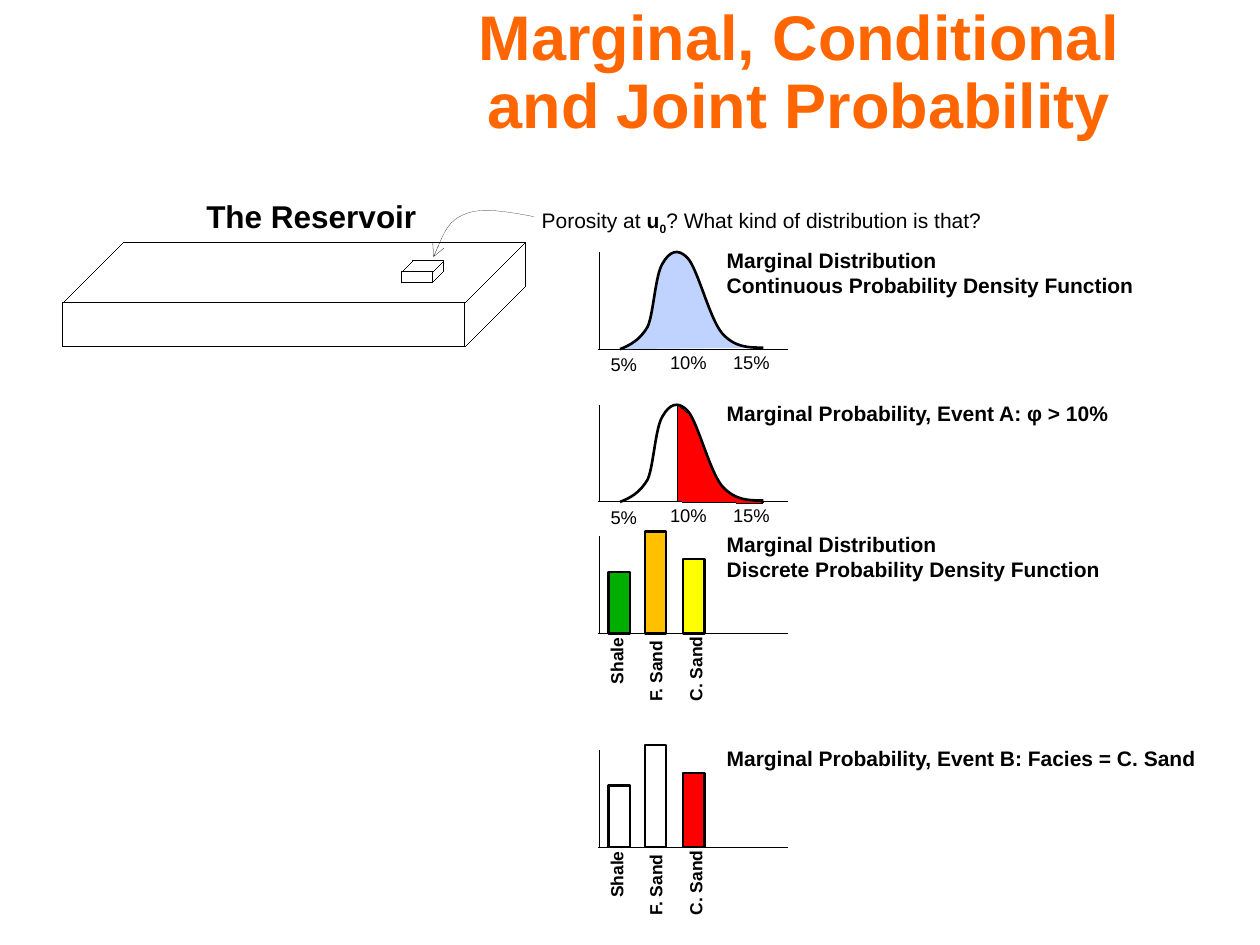
from lxml.etree import SubElement
from pptx import Presentation
from pptx.dml.color import RGBColor
from pptx.enum.shapes import MSO_CONNECTOR as Connector, MSO_SHAPE as Shape
from pptx.enum.text import MSO_ANCHOR as Anchor, MSO_AUTO_SIZE as AutoSize, PP_ALIGN as Align
from pptx.oxml.ns import qn
from pptx.util import Cm, Pt

COLORS = {"black": "000000", "white": "FFFFFF", "orange": "FF6600", "blue": "C0D2FE",
          "red": "FF0000", "green": "00AE00", "amber": "FFC000", "yellow": "FFFF00"}

# Places inside a panel, in cm from the axis origin, with heights upwards
BELL = [(0.41, 0), (0.61, 0.08), (0.81, 0.18), (0.97, 0.46), (1.09, 0.74), (1.12, 1.5),
        (1.27, 1.73), (1.4, 1.96), (1.57, 2.06), (1.78, 1.83), (1.98, 1.6), (2.21, 0.64),
        (2.46, 0.33), (2.72, 0.03), (3, 0.03), (3.3, 0.03)]
TAIL = [(3.25, -0.03), (3.45, 0), (2.9, 0.03), (2.77, 0.1), (2.62, 0.18), (2.49, 0.28),
        (2.39, 0.46), (2.26, 0.66), (2.16, 1.04), (2.06, 1.24), (1.96, 1.47), (1.88, 1.68),
        (1.8, 1.78)]
TAIL_CORNERS = [(1.57, 1.96), (1.57, 0)]
POINTER = [(10.77, 4.37), (10.24, 4.27), (9.7, 4.17), (9.37, 4.32), (9.04, 4.45),
           (8.89, 4.83), (8.74, 5.18)]
TICKS = [("5%", -0.03, -0.05, 1.07), ("10%", 1.17, -0.08, 1.3), ("15%", 2.44, -0.08, 1.3)]
BARS = [(0.18, 1.24), (0.91, 2.06), (1.68, 1.5)]
FACIES = [("Shale", -0.38, 0.2, 1.45), ("F. Sand", 0.23, 0.38, 1.8),
          ("C. Sand", 1.02, 0.36, 1.83)]
AXIS_X = 12.09


def curve_samples(points, steps=12):
    """Points that lie on a chain of cubic curves, for finding its bounds."""
    result = [points[0]]
    for first in range(0, len(points) - 1, 3):
        corners = points[first:first + 4]
        for step in range(1, steps + 1):
            t = step / steps
            weights = ((1 - t) ** 3, 3 * t * (1 - t) ** 2, 3 * t * t * (1 - t), t ** 3)
            result.append(tuple(sum(w * corner[axis] for w, corner in zip(weights, corners))
                                for axis in (0, 1)))
    return result


class SlideBuilder:
    font_name = "Arial"
    thick = 1.5

    def __init__(self, deck):
        self.page = deck.slides.add_slide(deck.slide_layouts[5])

    def format_span(self, span, **values):
        values = {"name": self.font_name, "bold": False, **values}
        span.font.color.rgb = RGBColor.from_string(COLORS[values.pop("color", "black")])
        for name, value in values.items():
            setattr(span.font, name, value)

    def stroke(self, shape, weight=None):
        """Draw a black line; without a weight it keeps the default thin width."""
        element = shape._element
        element.remove(element.find(qn("p:style")))
        shape.line.color.rgb = RGBColor.from_string(COLORS["black"])
        if weight:
            shape.line.width = Pt(weight)

    def outline(self, shape, fill=None, weight=None):
        shape.shadow.inherit = False
        if fill:
            shape.fill.solid()
            shape.fill.fore_color.rgb = RGBColor.from_string(COLORS[fill])
        else:
            shape.fill.background()
        self.stroke(shape, weight)
        return shape

    def title(self, text, left, top, width, height):
        box = self.page.shapes.title
        for name, value in zip(("left", "top", "width", "height"), (left, top, width, height)):
            setattr(box, name, Cm(value))
        frame = box.text_frame
        for name, value in {"word_wrap": True, "auto_size": AutoSize.NONE,
                            "vertical_anchor": Anchor.TOP}.items():
            setattr(frame, name, value)
        para = frame.paragraphs[0]
        para.alignment, para.line_spacing = Align.CENTER, 0.9
        span = para.add_run()
        span.text = text
        self.format_span(span, size=Pt(36), bold=True, color="orange")

    def text(self, lines, left, top, width, height, size, bold=False, rotation=0):
        """Each line is a string or a list of (text, format values) spans."""
        box = self.page.shapes.add_textbox(Cm(left), Cm(top), Cm(width), Cm(height))
        box.rotation = rotation
        frame = box.text_frame
        frame.word_wrap = False
        frame.auto_size = AutoSize.SHAPE_TO_FIT_TEXT
        for index, line in enumerate(lines):
            para = frame.add_paragraph() if index else frame.paragraphs[0]
            for content, values in [(line, {})] if isinstance(line, str) else line:
                values = dict(values)
                baseline = values.pop("baseline", None)
                span = para.add_run()
                span.text = content
                self.format_span(span, **{"size": Pt(size), "bold": bold, **values})
                if baseline:
                    span.font._element.set("baseline", str(baseline))

    def preset(self, kind, left, top, width, height, fill=None, weight=None):
        shape = self.page.shapes.add_shape(kind, Cm(left), Cm(top), Cm(width), Cm(height))
        return self.outline(shape, fill, weight)

    def line(self, *ends):
        connector = self.page.shapes.add_connector(Connector.STRAIGHT, *map(Cm, ends))
        self.stroke(connector)
        SubElement(connector._element.spPr, qn("a:effectLst"))

    def curve(self, points, corners=(), fill=None, weight=None):
        """Cubic curves through points; corners add straight sides and close it."""
        xs, ys = zip(*curve_samples(points), *corners)
        left, top = min(xs), min(ys)
        builder = self.page.shapes.build_freeform(Cm(left), Cm(top))
        builder.add_line_segments([(Cm(max(xs)), Cm(max(ys)))], close=False)
        shape = builder.convert_to_shape()

        # Replace the diagonal of the bounds by the curve
        outline = next(shape._element.iter(qn("a:path")))
        for child in list(outline):
            outline.remove(child)
        steps = [("moveTo", points[:1])]
        steps += [("cubicBezTo", points[i:i + 3]) for i in range(1, len(points), 3)]
        steps += [("lnTo", [corner]) for corner in corners]
        for tag, places in steps:
            step = SubElement(outline, qn("a:" + tag))
            for x, y in places:
                SubElement(step, qn("a:pt"), x=str(int(Cm(x - left))), y=str(int(Cm(y - top))))
        if corners:
            SubElement(outline, qn("a:close"))
        return self.outline(shape, fill, weight)

    def arrow(self, points):
        shape = self.curve(points)
        SubElement(shape.line._get_or_add_ln(), qn("a:tailEnd"), type="arrow")

    def panel(self, base, heading, width):
        self.line(AXIS_X, base - 1.95, AXIS_X, base)
        self.line(AXIS_X - 0.02, base, AXIS_X + 3.79, base)
        self.text(heading, AXIS_X + 2.31, base - 2.18, width, 0.76 if len(heading) == 1 else 1.27,
                  12, bold=True)

    def density(self, base, heading, width, fill=None, tail=None):
        def place(points):
            return [(AXIS_X + x, base - y) for x, y in points]

        self.panel(base, heading, width)
        for label, x, y, label_width in TICKS:
            self.text([label], AXIS_X + x, base + y, label_width, 0.74, 10.5)
        if tail:
            self.curve(place(TAIL), place(TAIL_CORNERS), tail)
        self.curve(place(BELL), fill=fill, weight=self.thick)

    def bars(self, base, heading, width, fills):
        self.panel(base, heading, width)
        for (x, height), fill in zip(BARS, fills):
            self.preset(Shape.RECTANGLE, AXIS_X + x, base - height, 0.43, height, fill, self.thick)
        for label, x, y, label_width in FACIES:
            self.text([label], AXIS_X + x, base + y, label_width, 0.69, 10, True, 270)


def main():
    deck = Presentation()
    deck.slide_width, deck.slide_height = Cm(25.4), Cm(19.05)
    page = SlideBuilder(deck)
    page.title("Marginal, Conditional and Joint Probability", 8.53, 0, 15.16, 3.18)

    # Reservoir block with the sampled cell
    page.preset(Shape.CUBE, 1.27, 4.88, 9.32, 2.11).adjustments[0] = 0.58
    page.text(["The Reservoir"], 3.91, 3.84, 4.98, 1.02, 18, bold=True)
    page.preset(Shape.CUBE, 8.1, 5.26, 0.84, 0.43).adjustments[0] = 0.5

    # Question and its pointer
    page.text([[("Porosity at ", {}), ("u", {"bold": True}),
                ("0", {"bold": True, "baseline": -25000}),
                ("? What kind of distribution is that?", {})]], 10.67, 4.06, 9.47, 0.76, 12)
    page.arrow(POINTER)

    # Porosity distributions
    page.density(7.04, ["Marginal Distribution", "Continuous Probability Density Function"],
                 8.81, fill="blue")
    page.density(10.12, ["Marginal Probability, Event A: φ > 10%"], 8.41, tail="red")

    # Facies distributions
    page.bars(12.77, ["Marginal Distribution", "Discrete Probability Density Function"],
              8.13, ["green", "amber", "yellow"])
    page.bars(17.08, ["Marginal Probability, Event B: Facies = C. Sand"],
              10.08, ["white", "white", "red"])

    deck.save("out.pptx")


if __name__ == "__main__":
    main()
